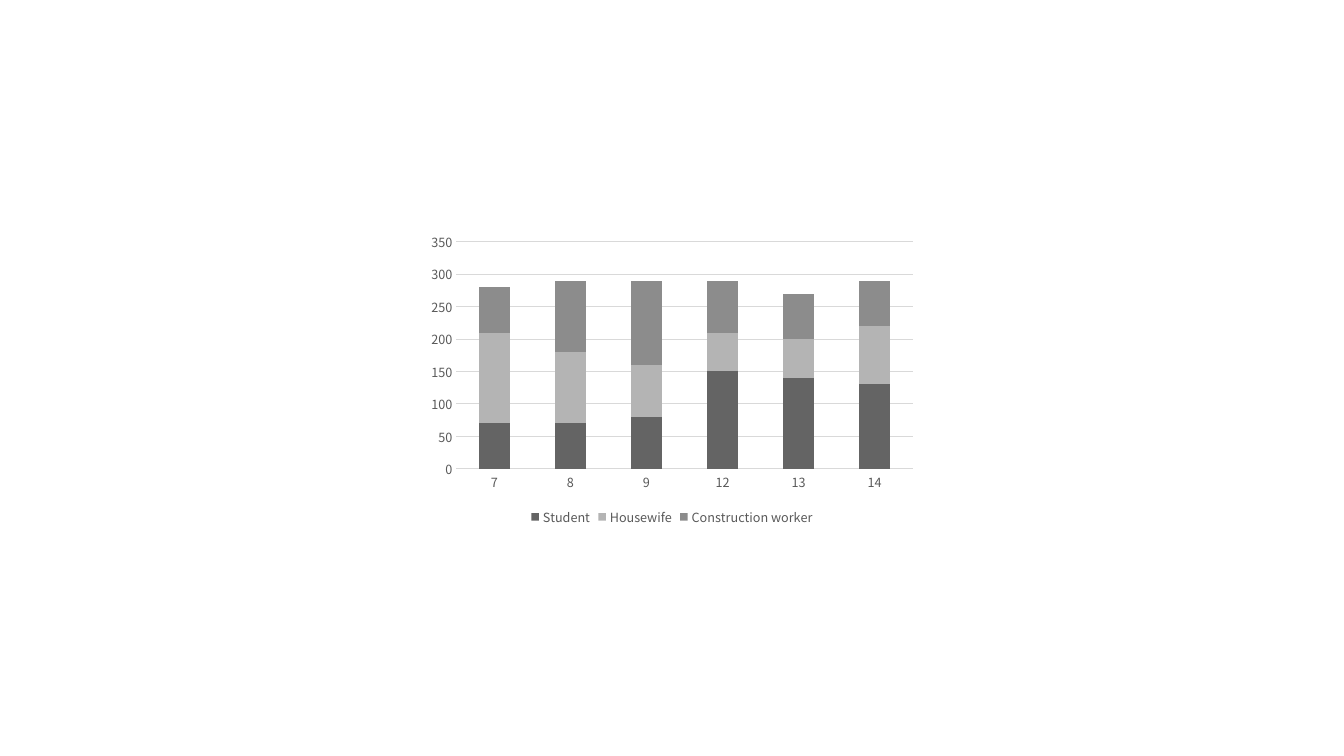
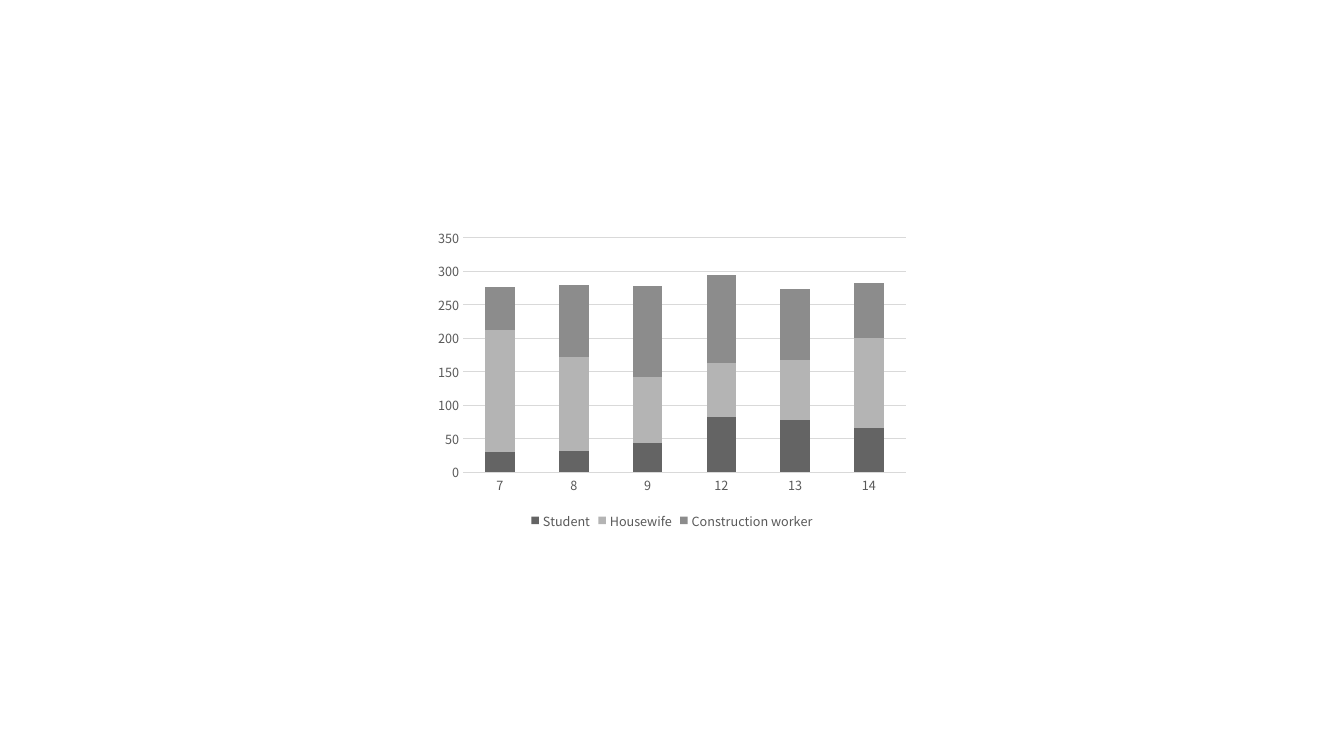
from pptx import Presentation
from pptx.chart.data import CategoryChartData
from pptx.dml.color import RGBColor
from pptx.enum import chart as kinds
from pptx.util import Pt

FONT = "Noto Sans CJK KR"
HUES = {
    "text": "595959",
    "rule": "D9D9D9",
    "Student": "646464",
    "Housewife": "B4B4B4",
    "Construction worker": "8C8C8C",
}
HOURS = ["7", "8", "9", "12", "13", "14"]
SLIDES = [
    ((301, 162, 358, 216.5), 350, {
        "Student": (70, 70, 80, 150, 140, 130),
        "Housewife": (140, 110, 80, 60, 60, 90),
        "Construction worker": (70, 110, 130, 80, 70, 70),
    }),
    ((306, 159, 348, 222), None, {
        "Student": (30, 32, 44, 82, 78, 66),
        "Housewife": (182, 140, 98, 81, 90, 135),
        "Construction worker": (65, 108, 136, 131, 105, 82),
    }),
]


def hue(name):
    return RGBColor.from_string(HUES[name])


def style(font):
    font.name = FONT
    font.size = Pt(9)
    font.bold = False
    font.color.rgb = hue("text")


def rule(line):
    line.color.rgb = hue("rule")
    line.width = Pt(0.75)


def set_axes(chart, top):
    """Style both axes; a top of None leaves the scale automatic."""
    for axis in (chart.category_axis, chart.value_axis):
        axis.major_tick_mark = kinds.XL_TICK_MARK.NONE
        axis.minor_tick_mark = kinds.XL_TICK_MARK.NONE
        style(axis.tick_labels.font)
    rule(chart.category_axis.format.line)
    scale = chart.value_axis
    scale.maximum_scale = top
    scale.format.line.fill.background()
    rule(scale.major_gridlines.format.line)


def set_legend(chart):
    chart.has_legend = True
    chart.legend.position = kinds.XL_LEGEND_POSITION.BOTTOM
    chart.legend.include_in_layout = False
    style(chart.legend.font)


def add_stack(slide, box, top, rows):
    """Place a stacked column chart in box (left, top, width, height)."""
    data = CategoryChartData()
    data.categories = HOURS
    for name, counts in rows.items():
        data.add_series(name, counts)
    frame = slide.shapes.add_chart(
        kinds.XL_CHART_TYPE.COLUMN_STACKED, *map(Pt, box), data)
    chart = frame.chart
    chart.has_title = False
    style(chart.font)
    set_axes(chart, top)
    set_legend(chart)
    plot = chart.plots[0]
    plot.gap_width, plot.overlap = 150, 100
    plot.vary_by_categories = False
    for series in plot.series:
        fill = series.format.fill
        fill.solid()
        fill.fore_color.rgb = hue(series.name)


def main():
    deck = Presentation()
    deck.slide_width, deck.slide_height = Pt(960), Pt(540)
    blank = deck.slide_layouts[6]
    for box, top, rows in SLIDES:
        add_stack(deck.slides.add_slide(blank), box, top, rows)
    deck.save("out.pptx")


if __name__ == "__main__":
    main()
